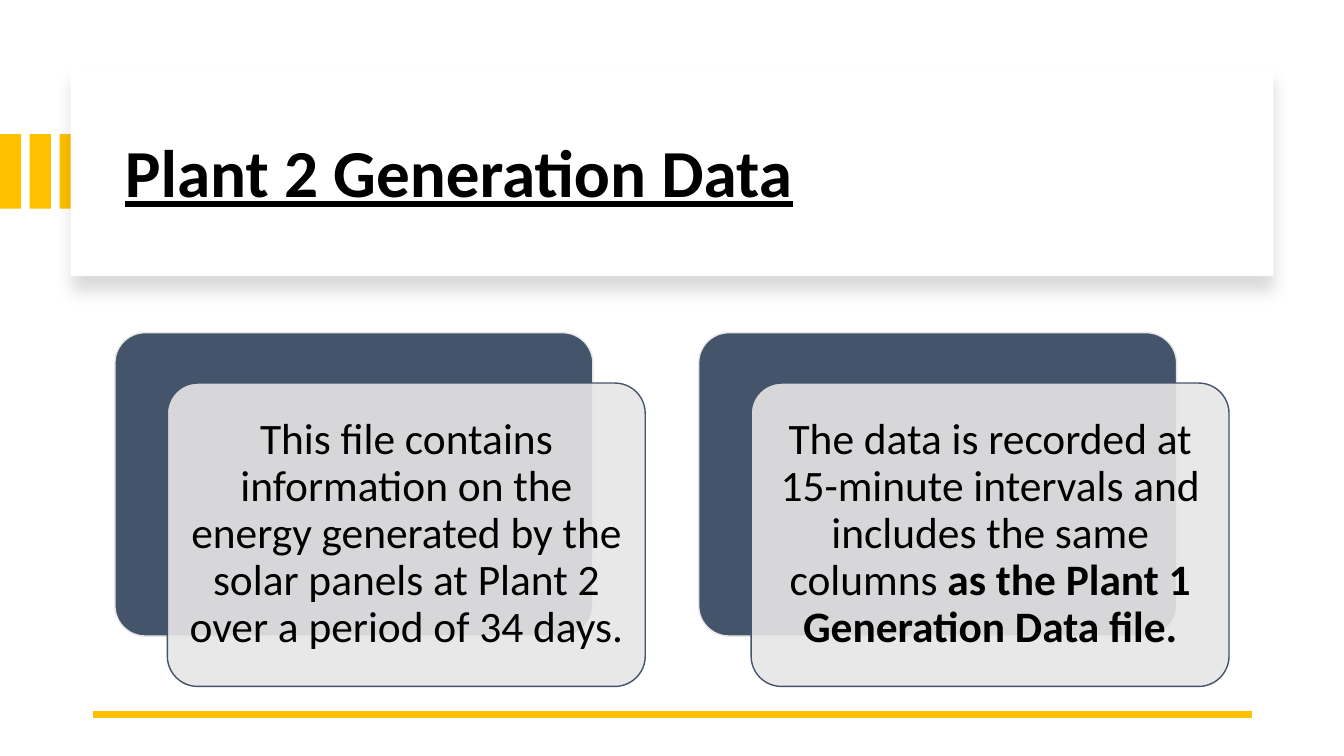
from lxml import etree
from pptx import Presentation
from pptx.dml.color import RGBColor
from pptx.enum import shapes, text
from pptx.oxml import ns
from pptx.util import Inches, Pt

# Content
TITLE = [("Plant 2 Generation Data", {"size": Pt(48), "bold": True, "underline": True})]
BODY = {"size": Pt(31)}
CARDS = [
    [("This file contains information on the energy generated by the "
      "solar panels at Plant 2 over a period of 34 days.", BODY)],
    [("The data is recorded at 15-minute intervals and includes the same columns ", BODY),
     ("as the Plant 1 Generation Data file.", {**BODY, "bold": True})],
]
GOLD, NAVY, GREY, WHITE, BLACK = "FFC000", "44546A", "E7E6E6", "FFFFFF", "000000"
RECT = shapes.MSO_SHAPE.RECTANGLE
ROUND = shapes.MSO_SHAPE.ROUNDED_RECTANGLE

# Layout in inches
STRIPE_STEP, STRIPE_COUNT = 0.295, 3
CARD_LEFT, CARD_TOP, CARD_STEP = 1.14, 3.3, 5.79
CARD_W, CARD_H = 4.74, 3.01
FRONT_DX, FRONT_DY, TEXT_PAD = 0.52, 0.5, 0.09


def color(value):
    return RGBColor.from_string(value)


def sub(parent, tag, **attrs):
    return etree.SubElement(parent, ns.qn(tag), {k: str(v) for k, v in attrs.items()})


def add_box(s, kind, box, fill, line=None, alpha=None):
    sp = s.shapes.add_shape(kind, *map(Inches, box))
    sp.shadow.inherit = False
    sp.fill.solid()
    sp.fill.fore_color.rgb = color(fill)
    if kind == ROUND:
        sp.adjustments[0] = 0.1
    if line:
        sp.line.color.rgb = color(line)
        sp.line.width = Pt(1)
    else:
        sp.line.fill.background()
    if alpha:
        clr = sp._element.spPr.find(ns.qn("a:solidFill"))[0]
        sub(clr, "a:alpha", val=alpha * 1000)
    return sp


def add_text(s, box, runs, align, inset=None):
    tf = s.shapes.add_textbox(*map(Inches, box)).text_frame
    tf.word_wrap = True
    tf.vertical_anchor = text.MSO_ANCHOR.MIDDLE
    if inset:
        for side in ("left", "right", "top", "bottom"):
            setattr(tf, f"margin_{side}", Inches(inset))
    p = tf.paragraphs[0]
    p.alignment = align
    p.line_spacing = 0.9
    for words, style in runs:
        r = p.add_run()
        r.text = words
        r.font.color.rgb = color(BLACK)
        for name, value in {"name": "Calibri", **style}.items():
            setattr(r.font, name, value)


def add_shadow(sp):
    effects = sp._element.spPr.find(ns.qn("a:effectLst"))
    shadow = sub(effects, "a:outerShdw", blurRad=Pt(11), dist=Pt(10),
                 dir=90 * 60000, algn="t", rotWithShape=0)
    sub(sub(shadow, "a:srgbClr", val=BLACK), "a:alpha", val=15000)


def main():
    prs = Presentation()
    prs.slide_width, prs.slide_height = Inches(13.33), Inches(7.5)
    s = prs.slides.add_slide(prs.slide_layouts[6])

    # Gold stripes behind the title panel
    for i in range(STRIPE_COUNT):
        add_box(s, RECT, (i * STRIPE_STEP, 1.33, 0.21, 0.74), GOLD)

    # Title panel
    add_shadow(add_box(s, RECT, (0.7, 0.67, 11.93, 2.07), WHITE))
    add_text(s, (1.14, 0.89, 11.13, 1.7), TITLE, text.PP_ALIGN.LEFT)

    # Bottom rule
    rule = s.shapes.add_connector(shapes.MSO_CONNECTOR.STRAIGHT,
                                  *map(Inches, (12.42, 7.09, 0.92, 7.09)))
    rule.line.color.rgb = color(GOLD)
    rule.line.width = Pt(4.5)
    sub(rule._element.spPr, "a:effectLst")

    # Layered cards
    for i, runs in enumerate(CARDS):
        x = CARD_LEFT + i * CARD_STEP
        fx, fy = x + FRONT_DX, CARD_TOP + FRONT_DY
        add_box(s, ROUND, (x, CARD_TOP, CARD_W, CARD_H), NAVY, GREY)
        add_box(s, ROUND, (fx, fy, CARD_W, CARD_H), GREY, NAVY, alpha=90)
        add_text(s, (fx + TEXT_PAD, fy + TEXT_PAD, CARD_W - 2 * TEXT_PAD,
                     CARD_H - 2 * TEXT_PAD), runs, text.PP_ALIGN.CENTER, 0.13)

    prs.save("out.pptx")


if __name__ == "__main__":
    main()
